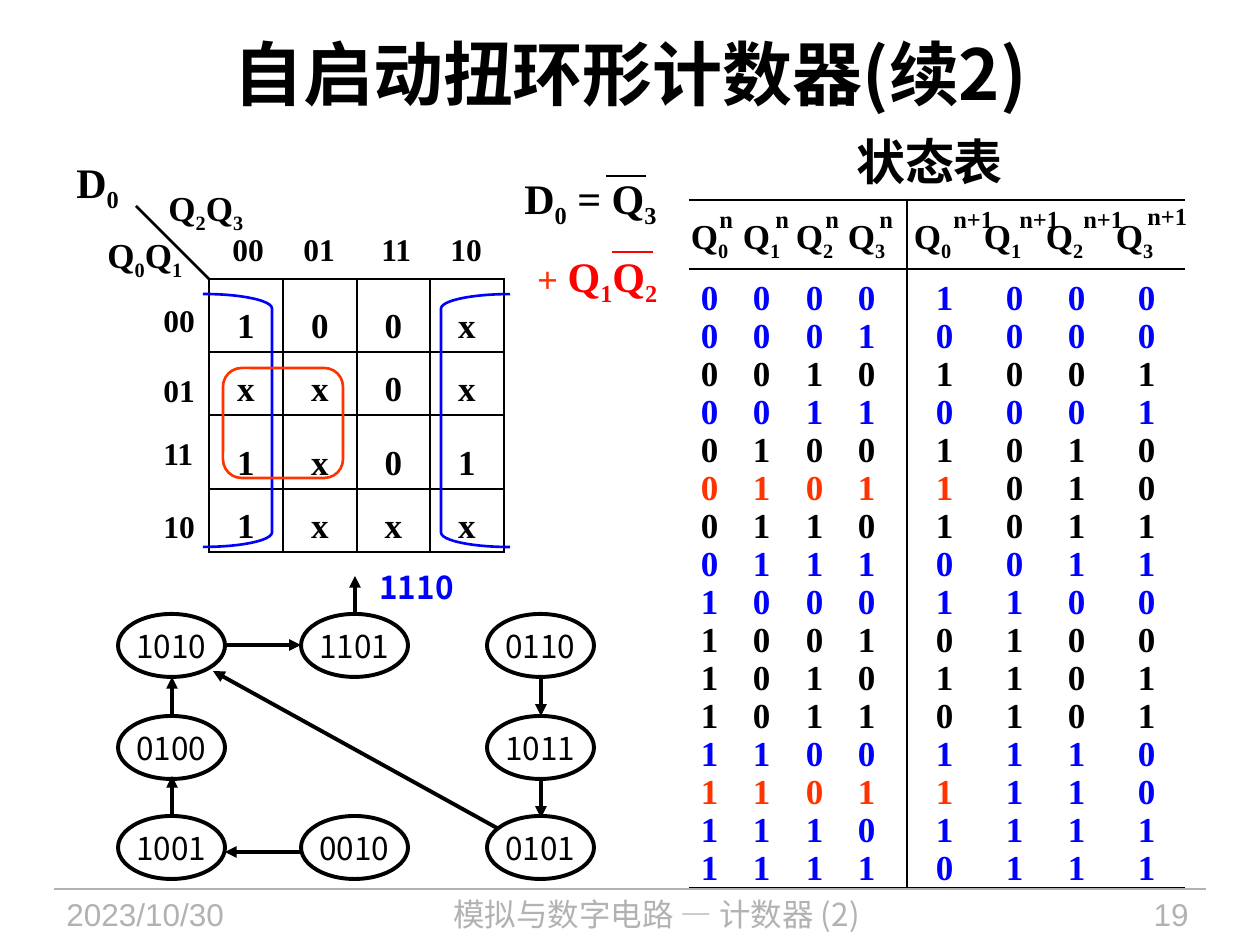
import itertools
from dataclasses import dataclass
from typing import NamedTuple

import pptx
import pptx.dml.color
import pptx.enum.shapes
import pptx.enum.text
import pptx.oxml.ns
import pptx.slide
import pptx.util
from lxml import etree

ALIGN = pptx.enum.text.PP_ALIGN
ANCHOR = pptx.enum.text.MSO_ANCHOR
SHAPE = pptx.enum.shapes.MSO_SHAPE
qn = pptx.oxml.ns.qn


class Style(NamedTuple):
    size: int
    color: str = "000000"
    bold: bool = True
    font: str = "Times New Roman"


@dataclass(frozen=True)
class Theme:
    black: str = "000000"
    blue: str = "0000FF"
    red: str = "FF0000"
    orange: str = "FF3300"
    gray: str = "B2B2B2"
    cjk: str = "Noto Sans CJK SC"
    thin: float = 0.75
    rule: float = 1.5
    thick: float = 2.25
    title: Style = Style(40, font=cjk)
    head: Style = Style(28, font="Arial")
    big: Style = Style(24)
    term: Style = Style(24, red)
    plus: Style = Style(20, orange, False, "Arial")
    cell: Style = Style(20)
    code: Style = Style(18)
    power: Style = Style(14)
    node: Style = Style(18, bold=False, font=cjk)
    exit: Style = Style(18, blue, True, cjk)
    foot: Style = Style(18, gray, False, "Arial")
    topic: Style = Style(18, gray, False, cjk)


T = Theme()


class Label(NamedTuple):
    x: int
    y: int
    w: int
    h: int
    words: list[tuple[str, Style]]
    align: ALIGN = ALIGN.LEFT
    wrap: bool = False


class Line(NamedTuple):
    x1: int
    y1: int
    x2: int
    y2: int
    color: str = T.black
    width: float = T.rule
    arrow: bool = False


class Form(NamedTuple):
    kind: SHAPE
    x: int
    y: int
    w: int
    h: int
    color: str
    adjust: float
    turn: int = 0


class Grid(NamedTuple):
    xs: list[int]
    ys: list[int]
    cols: set[int]
    rows: set[int]


def px(n: int) -> int:
    return round(n * 914400 / 126)


def rgb(color: str) -> pptx.dml.color.RGBColor:
    return pptx.dml.color.RGBColor.from_string(color)


def write(para, text: str, style: Style) -> None:
    """Add runs; the character after each underscore is a subscript."""
    first, *rest = text.split("_")
    bits = [(first, False)]
    for bit in rest:
        bits += [(bit[0], True), (bit[1:], False)]
    for bit, sub in bits:
        if not bit:
            continue
        run = para.add_run()
        run.text = bit
        run.font.size = pptx.util.Pt(style.size)
        run.font.bold = style.bold
        run.font.name = style.font
        run.font.color.rgb = rgb(style.color)
        props = run._r.get_or_add_rPr()
        etree.SubElement(props, qn("a:ea"), typeface=T.cjk)
        if sub:
            props.set("baseline", "-25000")


def add_label(slide: pptx.slide.Slide, label: Label) -> None:
    box = slide.shapes.add_textbox(*map(px, label[:4]))
    frame = box.text_frame
    frame.word_wrap = label.wrap
    if not label.wrap:
        frame.auto_size = pptx.enum.text.MSO_AUTO_SIZE.SHAPE_TO_FIT_TEXT
    para = frame.paragraphs[0]
    para.alignment = label.align
    for text, style in label.words:
        write(para, text, style)


def add_line(slide: pptx.slide.Slide, line: Line) -> None:
    kind = pptx.enum.shapes.MSO_CONNECTOR.STRAIGHT
    link = slide.shapes.add_connector(kind, *map(px, line[:4]))
    link.line.color.rgb = rgb(line.color)
    link.line.width = pptx.util.Pt(line.width)
    if line.arrow:
        etree.SubElement(link.line._get_or_add_ln(), qn("a:tailEnd"), type="triangle")
    etree.SubElement(link._element.spPr, qn("a:effectLst"))


def add_form(slide: pptx.slide.Slide, form: Form) -> None:
    shape = slide.shapes.add_shape(form.kind, *map(px, form[1:5]))
    shape.shadow.inherit = False
    shape.fill.background()
    shape.line.color.rgb = rgb(form.color)
    shape.line.width = pptx.util.Pt(T.rule)
    shape.adjustments[0] = form.adjust
    shape.rotation = form.turn


def add_node(slide: pptx.slide.Slide, x: int, y: int, text: str) -> None:
    node = slide.shapes.add_shape(SHAPE.OVAL, px(x), px(y), px(107), px(63))
    node.shadow.inherit = False
    node.fill.background()
    node.line.color.rgb = rgb(T.black)
    node.line.width = pptx.util.Pt(T.thick)
    frame = node.text_frame
    frame.word_wrap = False
    frame.vertical_anchor = ANCHOR.MIDDLE
    frame.paragraphs[0].alignment = ALIGN.CENTER
    write(frame.paragraphs[0], text, T.node)


def add_grid(slide: pptx.slide.Slide, grid: Grid):
    """Add a clear table, ruled only on the listed column and row edges."""
    xs, ys = grid.xs, grid.ys
    area = map(px, (xs[0], ys[0], xs[-1] - xs[0], ys[-1] - ys[0]))
    table = slide.shapes.add_table(len(ys) - 1, len(xs) - 1, *area).table
    table.first_row = table.horz_banding = False
    for col, (a, b) in zip(table.columns, itertools.pairwise(xs)):
        col.width = px(b - a)
    for row, (a, b) in zip(table.rows, itertools.pairwise(ys)):
        row.height = px(b - a)
    for r, c in itertools.product(range(len(ys) - 1), range(len(xs) - 1)):
        cell = table.cell(r, c)
        cell.fill.background()
        cell.vertical_anchor = ANCHOR.BOTTOM
        cell.margin_left = cell.margin_right = cell.margin_top = cell.margin_bottom = 0
        sides = {"L": c in grid.cols, "R": c + 1 in grid.cols,
                 "T": r in grid.rows, "B": r + 1 in grid.rows}
        for i, (side, drawn) in enumerate(sides.items()):
            edge = etree.Element(qn(f"a:ln{side}"), w=str(pptx.util.Pt(T.rule)))
            fill = etree.SubElement(edge, qn("a:solidFill" if drawn else "a:noFill"))
            if drawn:
                etree.SubElement(fill, qn("a:srgbClr"), val=T.black)
            cell._tc.get_or_add_tcPr().insert(i, edge)
    return table


def add_states(slide: pptx.slide.Slide) -> None:
    xs = [689, 741, 794, 846, 907, 977, 1039, 1109, 1185]
    ys = [200, 269] + [318 + 38 * i for i in range(16)]
    table = add_grid(slide, Grid(xs, ys, {4}, {0, 1, 17}))
    ring = {0, 1, 3, 7, 8, 12, 14, 15}
    for c in range(8):
        cell = table.cell(0, c)
        cell.margin_left, cell.margin_bottom = px(2 if c < 4 else 7), px(6)
        write(cell.text_frame.paragraphs[0], f"Q_{c % 4}", T.cell)
    for n in range(16):
        now = f"{n:04b}"
        q1, q2, q3 = (bit == "1" for bit in now[1:])
        after = str(int(not q3 or (q1 and not q2))) + now[:3]
        for c, bit in enumerate(now + after):
            color = T.blue if n in ring or n == 13 else T.black
            if n in (5, 13) and c < 5:
                color = T.orange
            cell = table.cell(n + 1, c)
            cell.margin_left = px(12 if c < 4 else 29)
            para = cell.text_frame.paragraphs[0]
            para.line_spacing = 0.9
            write(para, bit, T.cell._replace(color=color))
    for x in (707, 763, 813, 867):
        add_label(slide, Label(x, 198, 39, 42, [("n", T.power)]))
    for x, y in ((941, 198), (1007, 198), (1071, 198), (1135, 195)):
        add_label(slide, Label(x, y, 66, 42, [("n+1", T.power)]))


def add_map(slide: pptx.slide.Slide) -> None:
    grid = Grid([209, 283, 357, 430, 504], [279, 352, 415, 489, 552],
                set(range(5)), set(range(5)))
    table = add_grid(slide, grid)
    for r, row in enumerate(("100x", "xx0x", "1x01", "1xxx")):
        for c, mark in enumerate(row):
            cell = table.cell(r, c)
            cell.margin_bottom = px(6)
            para = cell.text_frame.paragraphs[0]
            para.alignment = ALIGN.CENTER
            write(para, mark, T.cell)
    sites = zip(("00", "01", "11", "10"), (220, 291, 369, 438), (295, 365, 428, 501))
    for code, x, y in sites:
        add_label(slide, Label(x, 224, 57, 50, [(code, T.code)]))
        add_label(slide, Label(151, y, 57, 50, [(code, T.code)]))
    add_line(slide, Line(209, 279, 136, 206))
    for form in (Form(SHAPE.RIGHT_BRACKET, 203, 294, 69, 253, T.blue, 0.21),
                 Form(SHAPE.RIGHT_BRACKET, 441, 294, 69, 253, T.blue, 0.21, 180),
                 Form(SHAPE.ROUNDED_RECTANGLE, 223, 368, 120, 110, T.orange, 0.17)):
        add_form(slide, form)


def add_flow(slide: pptx.slide.Slide) -> None:
    rows = (("1010", "1101", "0110"), ("0100", "", "1011"), ("1001", "0010", "0101"))
    for y, row in zip((614, 716, 816), rows):
        for x, state in zip((118, 301, 487), row):
            if state:
                add_node(slide, x, y, state)
    for ends in ((227, 645, 301, 645), (541, 677, 541, 716), (172, 716, 172, 677),
                 (355, 614, 355, 576), (541, 779, 541, 818), (172, 815, 172, 776),
                 (497, 828, 213, 671), (303, 852, 225, 852)):
        add_line(slide, Line(*ends, width=T.thick, arrow=True))


def main() -> None:
    deck = pptx.Presentation()
    deck.slide_width, deck.slide_height = px(1260), px(945)
    slide = deck.slides.add_slide(deck.slide_layouts[5])
    title = slide.shapes.title
    title.left, title.top, title.width, title.height = map(px, (63, 11, 1134, 122))
    title.text_frame.vertical_anchor = ANCHOR.MIDDLE
    title.text_frame.paragraphs[0].alignment = ALIGN.CENTER
    write(title.text_frame.paragraphs[0], "自启动扭环形计数器(续2)", T.title)
    add_states(slide)
    add_map(slide)
    add_flow(slide)
    for label in (
        Label(54, 889, 237, 55, [("2023/10/30", T.foot)], wrap=True),
        Label(302, 889, 709, 55, [("模拟与数字电路 — 计数器 (2)", T.topic)], ALIGN.CENTER, True),
        Label(1033, 889, 168, 55, [("19", T.foot)], ALIGN.RIGHT, True),
        Label(843, 125, 173, 72, [("状态表", T.head)], ALIGN.CENTER),
        Label(363, 562, 107, 63, [("1110", T.exit)], ALIGN.CENTER, True),
        Label(525, 244, 159, 63, [("+ ", T.plus), ("Q_1Q_2", T.term)]),
        Label(512, 166, 158, 63, [("D_0 = Q_3", T.big)]),
        Label(64, 150, 69, 63, [("D_0", T.big)]),
        Label(95, 227, 102, 54, [("Q_0Q_1", T.cell)]),
        Label(156, 180, 102, 54, [("Q_2Q_3", T.cell)]),
    ):
        add_label(slide, label)
    for line in (Line(54, 889, 1206, 889, T.gray, T.thin),
                 Line(612, 252, 653, 252, T.red), Line(606, 176, 646, 176)):
        add_line(slide, line)
    deck.save("out.pptx")


if __name__ == "__main__":
    main()
